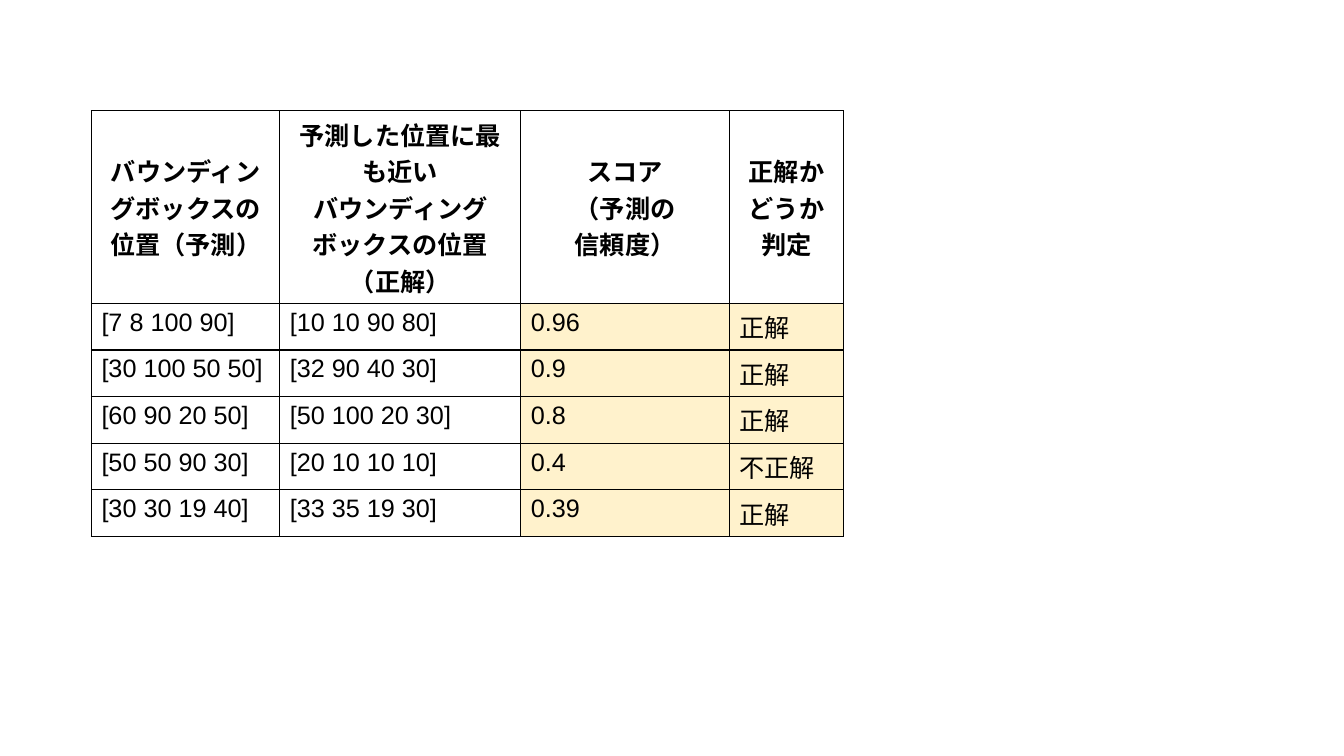
import pptx
import pptx.util
import pptx.dml.color
import pptx.enum.text
import pptx.oxml.ns
from lxml import etree

Pt = pptx.util.Pt

# Content
HEADERS = [
    "バウンディングボックスの位置（予測）",
    "予測した位置に最も近い\nバウンディングボックスの位置（正解）",
    "スコア\n（予測の\n信頼度）",
    "正解かどうか判定",
]
ROWS = [
    ("[7 8 100 90]", "[10 10 90 80]", "0.96", "正解"),
    ("[30 100 50 50]", "[32 90 40 30]", "0.9", "正解"),
    ("[60 90 20 50]", "[50 100 20 30]", "0.8", "正解"),
    ("[50 50 90 30]", "[20 10 10 10]", "0.4", "不正解"),
    ("[30 30 19 40]", "[33 35 19 30]", "0.39", "正解"),
]

# Layout and style
LEFT, TOP = 65.3, 79.2
COL_WIDTHS = [134.6, 172.1, 149.1, 81.3]
HEADER_HEIGHT, ROW_HEIGHT = 137, 33.3
FIRST_RESULT_COL = 2
LATIN, JAPANESE = "Arial", "Noto Sans CJK JP"
BLACK, WHITE, CREAM = "000000", "FFFFFF", "FFF2CC"


def color(value):
    return pptx.dml.color.RGBColor.from_string(value)


def add_borders(cell):
    tc_pr = cell._tc.get_or_add_tcPr()
    for side in ("lnL", "lnR", "lnT", "lnB"):
        ln = etree.SubElement(tc_pr, pptx.oxml.ns.qn("a:" + side), w=str(Pt(1)))
        fill = etree.SubElement(ln, pptx.oxml.ns.qn("a:solidFill"))
        etree.SubElement(fill, pptx.oxml.ns.qn("a:srgbClr"), val=BLACK)


def format_cell(cell, text, header, fill):
    add_borders(cell)
    cell.fill.solid()
    cell.fill.fore_color.rgb = color(fill)
    p = cell.text_frame.paragraphs[0]
    p.text = text
    p.font.size = Pt(18)
    p.font.bold = header
    p.font.color.rgb = color(BLACK)
    p.font.name = JAPANESE if header else LATIN
    # East Asian typeface follows the Latin one
    latin = p._p.pPr.find(".//" + pptx.oxml.ns.qn("a:latin"))
    latin.addnext(etree.Element(pptx.oxml.ns.qn("a:ea"), typeface=JAPANESE))
    if header:
        p.alignment = pptx.enum.text.PP_ALIGN.CENTER
        cell.vertical_anchor = pptx.enum.text.MSO_ANCHOR.MIDDLE


# Slide
prs = pptx.Presentation()
prs.slide_width, prs.slide_height = Pt(960), Pt(540)
s = prs.slides.add_slide(prs.slide_layouts[6])

# Table
heights = [HEADER_HEIGHT] + [ROW_HEIGHT] * len(ROWS)
table = s.shapes.add_table(
    len(heights), len(HEADERS), Pt(LEFT), Pt(TOP), Pt(sum(COL_WIDTHS)), Pt(sum(heights))
).table
table.first_row = table.horz_banding = False
for column, width in zip(table.columns, COL_WIDTHS):
    column.width = Pt(width)

for i, texts in enumerate([HEADERS] + ROWS):
    table.rows[i].height = Pt(heights[i])
    for j, text in enumerate(texts):
        header = i == 0
        fill = CREAM if not header and j >= FIRST_RESULT_COL else WHITE
        format_cell(table.cell(i, j), text, header, fill)

prs.save("out.pptx")
